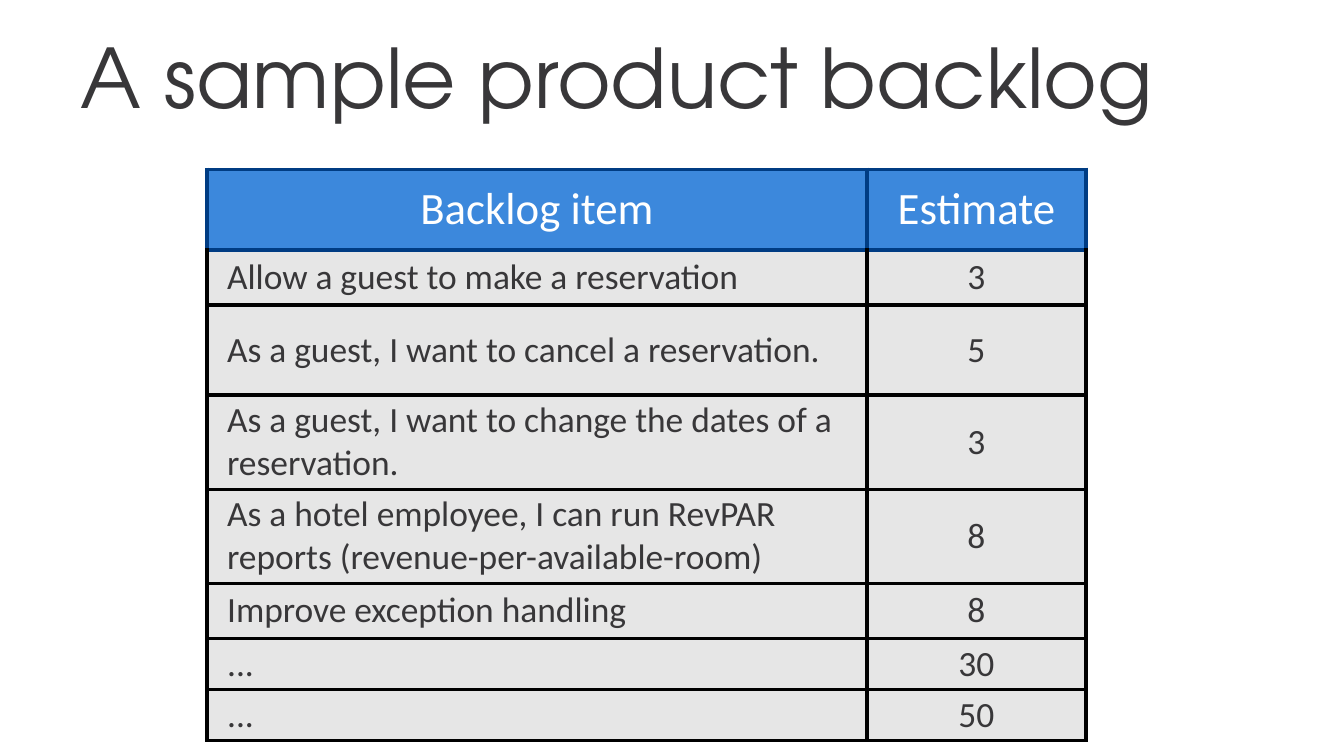
from dataclasses import dataclass

from lxml.etree import SubElement
from pptx import Presentation
from pptx.dml.color import RGBColor
from pptx.enum.text import MSO_ANCHOR, PP_ALIGN
from pptx.oxml.ns import qn
from pptx.util import Inches, Pt


@dataclass(frozen=True)
class Theme:
    """Colours, fonts and sizes of the slide."""
    ink: str = "383739"
    header_ink: str = "FFFFFF"
    header_fill: str = "3C88DC"
    header_border: str = "003C83"
    body_fill: str = "E6E6E6"
    body_border: str = "000000"
    heading_font: str = "TeX Gyre Adventor"
    body_font: str = "Calibri"
    heading_size: int = 44
    header_size: int = 24
    body_size: int = 19
    border_width: int = 2


THEME = Theme()
SLIDE_WIDTH = 10
SLIDE_HEIGHT = SLIDE_WIDTH * 9 / 16
COLUMN_WIDTHS = (4.91, 1.63)
ROW_HEIGHTS = (0.6, 0.41, 0.67, 0.67, 0.67, 0.41, 0.38, 0.38)
BACKLOG = (
    ("Backlog item", "Estimate"),
    ("Allow a guest to make a reservation", "3"),
    ("As a guest, I want to cancel a reservation.", "5"),
    ("As a guest, I want to change the dates of a reservation.", "3"),
    ("As a hotel employee, I can run RevPAR reports (revenue-per-available-room)", "8"),
    ("Improve exception handling", "8"),
    ("...", "30"),
    ("...", "50"),
)


def style_text(paragraph, font, size, color):
    """Format every run of a paragraph."""
    for run in paragraph.runs:
        run.font.name = font
        run.font.size = Pt(size)
        run.font.color.rgb = RGBColor.from_string(color)


def set_borders(cell, colors):
    """Draw the left, right, top and bottom borders of a cell."""
    properties = cell._tc.get_or_add_tcPr()
    for index, (side, color) in enumerate(zip("LRTB", colors)):
        border = SubElement(properties, qn(f"a:ln{side}"), w=str(Pt(THEME.border_width)))
        fill = SubElement(border, qn("a:solidFill"))
        SubElement(fill, qn("a:srgbClr"), val=color)
        properties.insert(index, border)


def add_heading(slide, left, top, width, height):
    """Place the slide title in its box."""
    heading = slide.shapes.title
    heading.left, heading.top = Inches(left), Inches(top)
    heading.width, heading.height = Inches(width), Inches(height)
    frame = heading.text_frame
    frame.text = "A sample product backlog"
    frame.word_wrap = True
    frame.vertical_anchor = MSO_ANCHOR.TOP
    paragraph = frame.paragraphs[0]
    paragraph.alignment = PP_ALIGN.LEFT
    paragraph.line_spacing = 0.9
    style_text(paragraph, THEME.heading_font, THEME.heading_size, THEME.ink)


def fill_cell(cell, text, row, column):
    """Write and style one backlog cell."""
    is_header = row == 0
    cell.text = text
    cell.vertical_anchor = MSO_ANCHOR.MIDDLE
    cell.margin_left = cell.margin_right = Inches(0.03)
    cell.margin_top = cell.margin_bottom = Inches(0.03)
    cell.fill.solid()
    cell.fill.fore_color.rgb = RGBColor.from_string(
        THEME.header_fill if is_header else THEME.body_fill)
    border = THEME.header_border if is_header else THEME.body_border
    top_border = THEME.header_border if row <= 1 else THEME.body_border
    set_borders(cell, (border, border, top_border, border))
    paragraph = cell.text_frame.paragraphs[0]
    if is_header:
        style_text(paragraph, THEME.body_font, THEME.header_size, THEME.header_ink)
    else:
        style_text(paragraph, THEME.body_font, THEME.body_size, THEME.ink)
    if is_header or column == 1:
        paragraph.alignment = PP_ALIGN.CENTER
    else:
        paragraph.alignment = PP_ALIGN.LEFT
        indent = paragraph._p.get_or_add_pPr()
        indent.set("marL", str(Inches(0.12)))
        indent.set("indent", "0")


def add_backlog(slide, left, top):
    """Place the backlog table with its top left corner at the given point."""
    backlog = slide.shapes.add_table(
        len(BACKLOG), len(COLUMN_WIDTHS), Inches(left), Inches(top),
        Inches(sum(COLUMN_WIDTHS)), Inches(sum(ROW_HEIGHTS))).table
    backlog.horz_banding = False
    for column, width in zip(backlog.columns, COLUMN_WIDTHS):
        column.width = Inches(width)
    for row, (height, entries) in enumerate(zip(ROW_HEIGHTS, BACKLOG)):
        backlog.rows[row].height = Inches(height)
        for column, text in enumerate(entries):
            fill_cell(backlog.cell(row, column), text, row, column)


def main():
    """Build and save the presentation."""
    presentation = Presentation()
    presentation.slide_width = Inches(SLIDE_WIDTH)
    presentation.slide_height = Inches(SLIDE_HEIGHT)
    slide = presentation.slides.add_slide(presentation.slide_layouts[5])
    add_heading(slide, 0.5, 0.23, 9, 0.94)
    add_backlog(slide, 1.54, 1.26)
    presentation.save("out.pptx")


if __name__ == "__main__":
    main()
